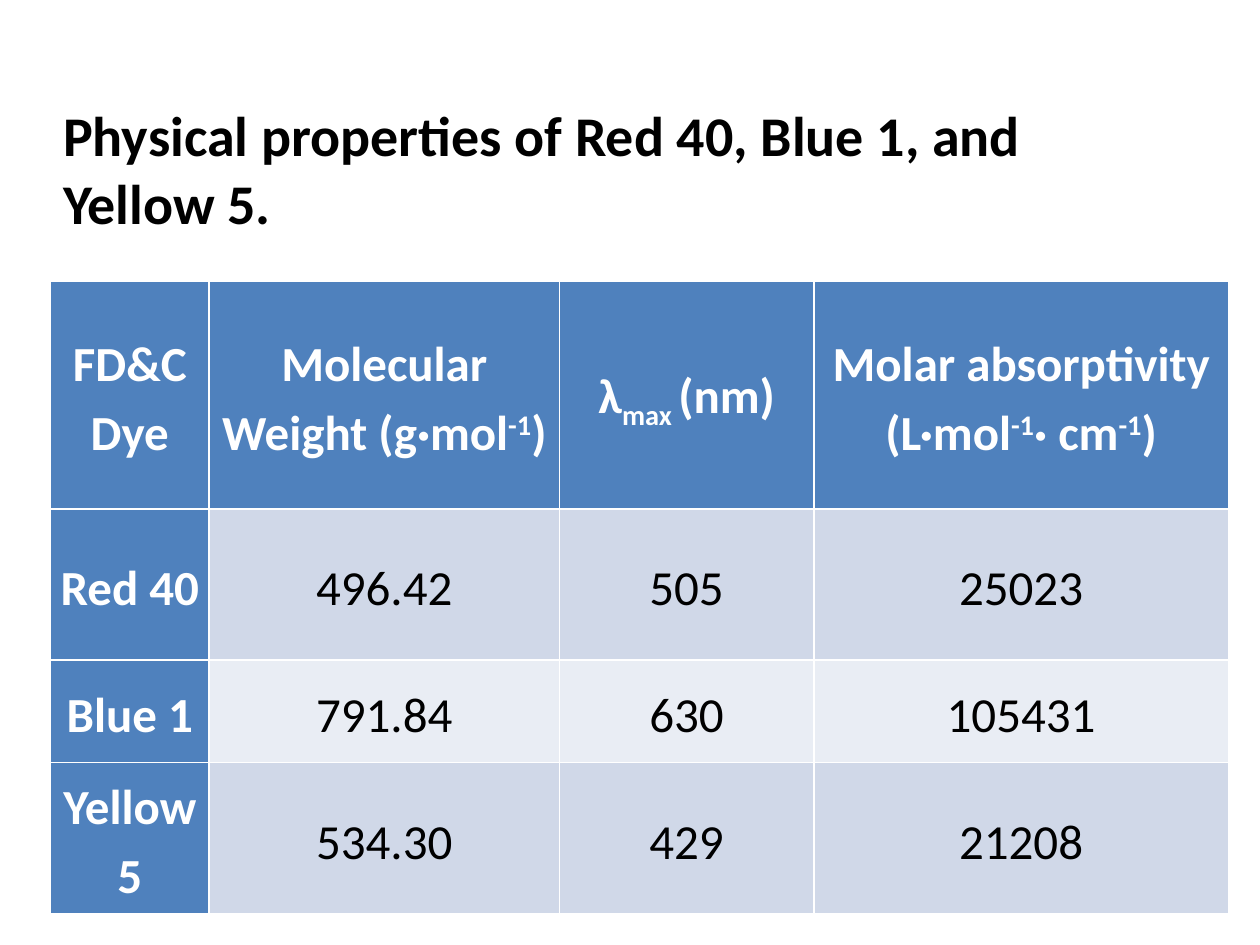
from pptx import Presentation
from pptx.dml.color import RGBColor
from pptx.enum.text import MSO_ANCHOR, MSO_AUTO_SIZE, PP_ALIGN
from pptx.util import Inches, Pt

THEME = {
    "font": "Calibri",
    "title_size": Pt(32),
    "cell_size": Pt(28),
    "text": RGBColor.from_string("000000"),
    "head_text": RGBColor.from_string("FFFFFF"),
    "head_fill": RGBColor.from_string("4F81BD"),
    "bands": [RGBColor.from_string("D0D8E8"), RGBColor.from_string("E9EDF4")],
}
SUPER, SUB = 30000, -25000


def style_run(r, size, color, bold):
    r.font.name = THEME["font"]
    r.font.size = size
    r.font.bold = bold
    r.font.color.rgb = color


prs = Presentation()
prs.slide_width, prs.slide_height = Inches(10), Inches(7.5)
W, H = prs.slide_width, prs.slide_height
left = int(W * 0.04)
title_top, title_height = int(H * 0.1), Inches(1.48)
s = prs.slides.add_slide(prs.slide_layouts[5])

title = s.shapes.title
title.left, title.top = left, title_top
title.width, title.height = int(W * 0.9), title_height
tf = title.text_frame
tf.text = "Physical properties of Red 40, Blue 1, and Yellow 5."
tf.word_wrap = True
tf.auto_size = MSO_AUTO_SIZE.NONE
tf.vertical_anchor = MSO_ANCHOR.TOP
p = tf.paragraphs[0]
p.alignment = PP_ALIGN.LEFT
style_run(p.runs[0], THEME["title_size"], THEME["text"], True)

rows = [
    [
        [("FD&C Dye", 0)],
        [("Molecular Weight (g·mol", 0), ("-1", SUPER), (")", 0)],
        [("λ", 0), ("max ", SUB), ("(nm)", 0)],
        [("Molar absorptivity (L·mol", 0), ("-1", SUPER), ("· cm", 0), ("-1", SUPER), (")", 0)],
    ],
    *[
        [[(value, 0)] for value in record]
        for record in [
            ("Red 40", "496.42", "505", "25023"),
            ("Blue 1", "791.84", "630", "105431"),
            ("Yellow 5", "534.30", "429", "21208"),
        ]
    ],
]
col_widths = [1.26, 2.78, 2.02, 3.29]
row_heights = [1.81, 1.2, 0.81, 1.2]

table = s.shapes.add_table(
    len(rows), len(col_widths), left, title_top + title_height,
    Inches(sum(col_widths)), Inches(sum(row_heights)),
).table
table.first_col = True
for col, width in zip(table.columns, col_widths):
    col.width = Inches(width)
for row, height in zip(table.rows, row_heights):
    row.height = Inches(height)

for i, row in enumerate(rows):
    for j, parts in enumerate(row):
        head = i == 0 or j == 0
        cell = table.cell(i, j)
        cell.fill.solid()
        cell.fill.fore_color.rgb = THEME["head_fill"] if head else THEME["bands"][(i - 1) % 2]
        cell.vertical_anchor = MSO_ANCHOR.MIDDLE
        cell.margin_left = cell.margin_right = Inches(0.07)
        cell.margin_top = cell.margin_bottom = 0
        p = cell.text_frame.paragraphs[0]
        p.alignment = PP_ALIGN.CENTER
        p.line_spacing = 1.15
        for text, baseline in parts:
            r = p.add_run()
            r.text = text
            style_run(r, THEME["cell_size"], THEME["head_text" if head else "text"], head)
            if baseline:
                r.font._element.set("baseline", str(baseline))

prs.save("out.pptx")
